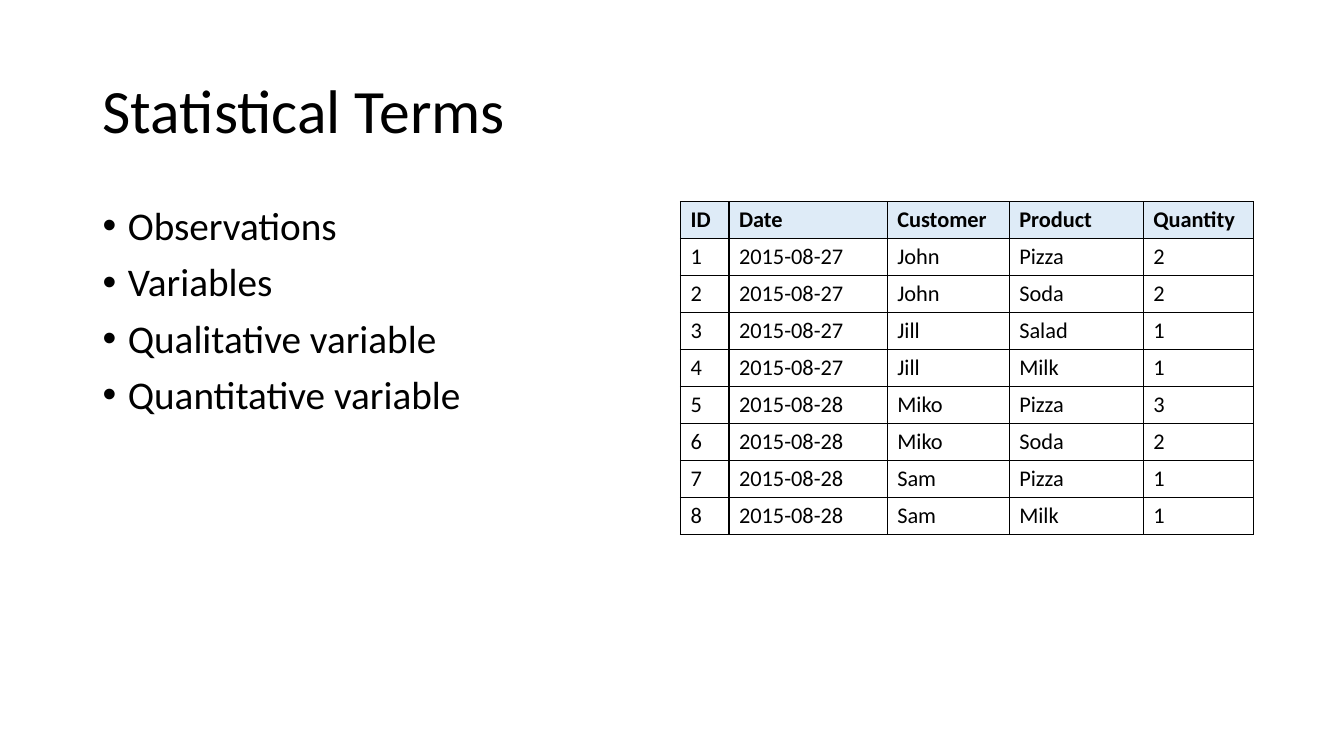
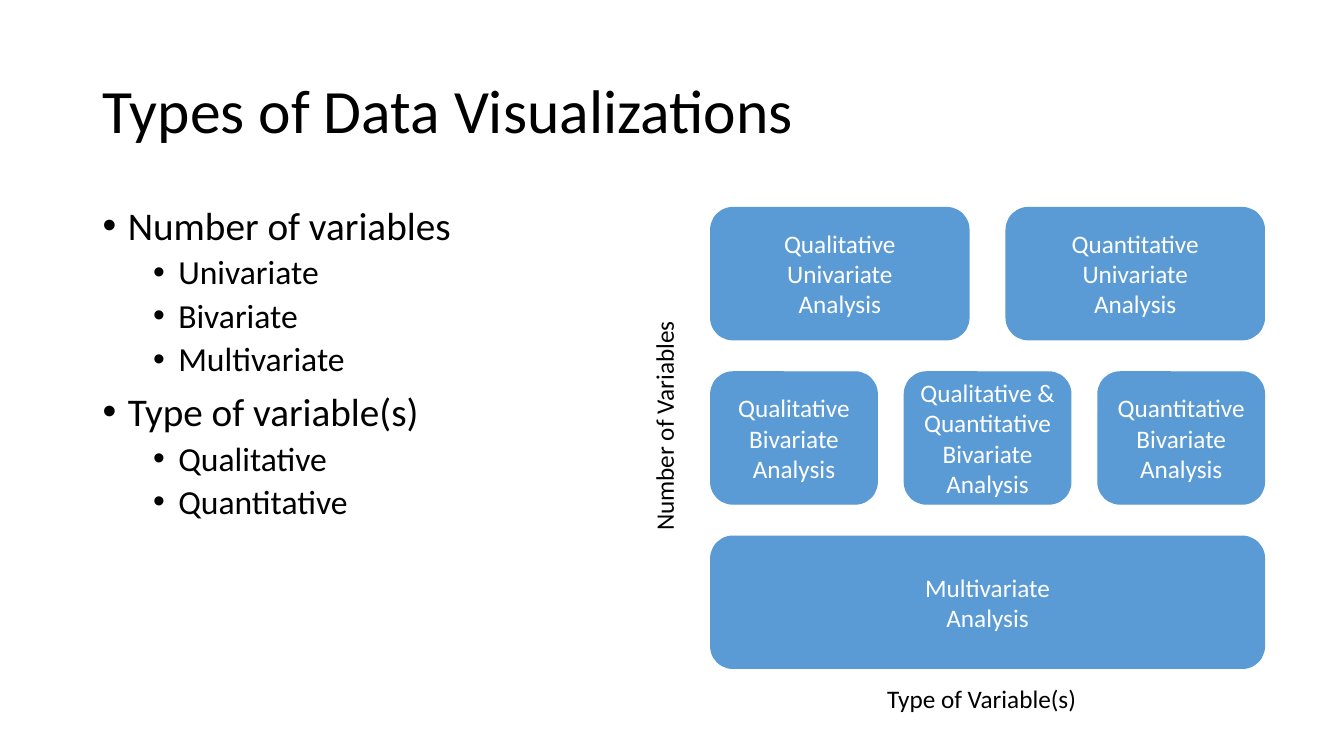
"""Build two slides on statistical terms and types of data visualizations."""
from typing import NamedTuple

from lxml import etree
from pptx import Presentation
from pptx.dml.color import RGBColor
from pptx.enum import shapes, text
from pptx.oxml import ns
from pptx.util import Inches, Pt

COLORS = {"text": "000000", "block": "5B9BD5", "block_text": "FFFFFF",
          "header": "DEEBF7", "border": "000000"}
FONT = "Calibri"


class Box(NamedTuple):
    left: float
    top: float
    width: float
    height: float


class Level(NamedTuple):
    size: int
    indent: float
    before: int


class Bullet(NamedTuple):
    label: str
    level: int = 0


class BlockRow(NamedTuple):
    width: float
    labels: list[tuple[str, ...]]


class AxisLabel(NamedTuple):
    label: str
    box: Box
    rotation: int = 0


TITLE = Box(0.92, 0.4, 11.5, 1.45)
BODY = Box(0.92, 2, 5.67, 4.76)
TABLE = Box(6.75, 2, 5.67, 3.3)
GRID = Box(7.05, 2.06, 5.49, 4.57)
BLOCK_HEIGHT = 1.31
LEVELS = [Level(28, 0.25, 10), Level(24, 0.75, 5)]

TERMS = [Bullet("Observations"), Bullet("Variables"),
         Bullet("Qualitative variable"), Bullet("Quantitative variable")]
COLUMN_WIDTHS = [0.48, 1.57, 1.21, 1.33, 1.09]
ORDERS = [
    ("ID", "Date", "Customer", "Product", "Quantity"),
    ("1", "2015-08-27", "John", "Pizza", "2"),
    ("2", "2015-08-27", "John", "Soda", "2"),
    ("3", "2015-08-27", "Jill", "Salad", "1"),
    ("4", "2015-08-27", "Jill", "Milk", "1"),
    ("5", "2015-08-28", "Miko", "Pizza", "3"),
    ("6", "2015-08-28", "Miko", "Soda", "2"),
    ("7", "2015-08-28", "Sam", "Pizza", "1"),
    ("8", "2015-08-28", "Sam", "Milk", "1"),
]

CRITERIA = [
    Bullet("Number of variables"), Bullet("Univariate", 1),
    Bullet("Bivariate", 1), Bullet("Multivariate", 1),
    Bullet("Type of variable(s)"), Bullet("Qualitative", 1),
    Bullet("Quantitative", 1),
]
ANALYSES = [
    BlockRow(2.56, [("Qualitative", "Univariate", "Analysis"),
                    ("Quantitative", "Univariate", "Analysis")]),
    BlockRow(1.65, [("Qualitative", "Bivariate", "Analysis"),
                    ("Qualitative & Quantitative", "Bivariate", "Analysis"),
                    ("Quantitative", "Bivariate", "Analysis")]),
    BlockRow(5.49, [("Multivariate", "Analysis")]),
]
AXIS_LABELS = [
    AxisLabel("Type of Variable(s)", Box(8.7, 6.73, 2.2, 0.4)),
    AxisLabel("Number of Variables", Box(5.38, 3.96, 2.41, 0.4), 270),
]


def rgb(name: str) -> RGBColor:
    """Return a named colour."""
    return RGBColor.from_string(COLORS[name])


def place(box: Box) -> list[int]:
    """Return a box as lengths."""
    return [Inches(v) for v in box]


def add_run(p, label: str, size: int, color: str = "text", bold: bool = False) -> None:
    """Add one styled run to a paragraph."""
    r = p.add_run()
    r.text = label
    r.font.name = FONT
    r.font.size = Pt(size)
    r.font.bold = bold
    r.font.color.rgb = rgb(color)


def next_paragraph(tf, index: int):
    """Return the first paragraph of a frame, or a new one after it."""
    return tf.add_paragraph() if index else tf.paragraphs[0]


def add_title(slide, label: str) -> None:
    """Add the slide title."""
    tf = slide.shapes.add_textbox(*place(TITLE)).text_frame
    tf.word_wrap = True
    tf.vertical_anchor = text.MSO_ANCHOR.MIDDLE
    p = tf.paragraphs[0]
    p.line_spacing = 0.9
    add_run(p, label, 44)


def add_bullets(slide, bullets: list[Bullet]) -> None:
    """Add the bulleted list on the left."""
    tf = slide.shapes.add_textbox(*place(BODY)).text_frame
    tf.word_wrap = True
    for i, bullet in enumerate(bullets):
        level = LEVELS[bullet.level]
        p = next_paragraph(tf, i)
        p.level = bullet.level
        pPr = p._p.get_or_add_pPr()
        pPr.set("marL", str(Inches(level.indent)))
        pPr.set("indent", str(Inches(-0.25)))
        etree.SubElement(pPr, ns.qn("a:buFont")).set("typeface", "Arial")
        etree.SubElement(pPr, ns.qn("a:buChar")).set("char", "•")
        p.line_spacing = 0.9
        p.space_before = Pt(level.before if i else 0)
        add_run(p, bullet.label, level.size)


def add_borders(cell) -> None:
    """Draw a thin line on every side of a cell."""
    tcPr = cell._tc.get_or_add_tcPr()
    for i, side in enumerate(("lnL", "lnR", "lnT", "lnB")):
        ln = etree.Element(ns.qn(f"a:{side}"), w=str(Pt(1)))
        fill = etree.SubElement(ln, ns.qn("a:solidFill"))
        etree.SubElement(fill, ns.qn("a:srgbClr")).set("val", COLORS["border"])
        tcPr.insert(i, ln)


def add_orders(slide) -> None:
    """Add the table of orders."""
    table = slide.shapes.add_table(len(ORDERS), len(COLUMN_WIDTHS), *place(TABLE)).table
    table.horz_banding = False
    for column, width in zip(table.columns, COLUMN_WIDTHS):
        column.width = Inches(width)
    for i, order in enumerate(ORDERS):
        for j, value in enumerate(order):
            cell = table.cell(i, j)
            if i == 0:
                cell.fill.solid()
                cell.fill.fore_color.rgb = rgb("header")
            else:
                cell.fill.background()
            add_borders(cell)
            add_run(cell.text_frame.paragraphs[0], value, 16, bold=i == 0)


def add_block(slide, box: Box, lines: tuple[str, ...]) -> None:
    """Add one rounded block with centred lines."""
    sp = slide.shapes.add_shape(shapes.MSO_SHAPE.ROUNDED_RECTANGLE, *place(box))
    sp.shadow.inherit = False
    sp.fill.solid()
    sp.fill.fore_color.rgb = rgb("block")
    sp.line.color.rgb = rgb("block")
    sp.line.width = Pt(1)
    tf = sp.text_frame
    tf.word_wrap = True
    tf.margin_left = tf.margin_right = 0
    tf.vertical_anchor = text.MSO_ANCHOR.MIDDLE
    for i, line in enumerate(lines):
        p = next_paragraph(tf, i)
        p.alignment = text.PP_ALIGN.CENTER
        add_run(p, line, 18, "block_text")


def add_analyses(slide) -> None:
    """Spread each row of blocks evenly over the grid."""
    row_step = (GRID.height - BLOCK_HEIGHT) / (len(ANALYSES) - 1)
    for i, row in enumerate(ANALYSES):
        step = (GRID.width - row.width) / max(len(row.labels) - 1, 1)
        for j, lines in enumerate(row.labels):
            box = Box(GRID.left + j * step, GRID.top + i * row_step, row.width, BLOCK_HEIGHT)
            add_block(slide, box, lines)


def add_axis_label(slide, axis: AxisLabel) -> None:
    """Add the name of one grid direction."""
    sp = slide.shapes.add_textbox(*place(axis.box))
    sp.rotation = axis.rotation
    tf = sp.text_frame
    tf.word_wrap = False
    tf.auto_size = text.MSO_AUTO_SIZE.SHAPE_TO_FIT_TEXT
    add_run(tf.paragraphs[0], axis.label, 18)


def add_slide(prs, title: str, bullets: list[Bullet]):
    """Add a slide with its title and bullets."""
    slide = prs.slides.add_slide(prs.slide_layouts[6])
    add_title(slide, title)
    add_bullets(slide, bullets)
    return slide


def main() -> None:
    """Build and save the presentation."""
    prs = Presentation()
    prs.slide_width, prs.slide_height = Inches(13.33), Inches(7.5)
    add_orders(add_slide(prs, "Statistical Terms", TERMS))
    slide = add_slide(prs, "Types of Data Visualizations", CRITERIA)
    add_analyses(slide)
    for axis in AXIS_LABELS:
        add_axis_label(slide, axis)
    prs.save("out.pptx")


if __name__ == "__main__":
    main()
